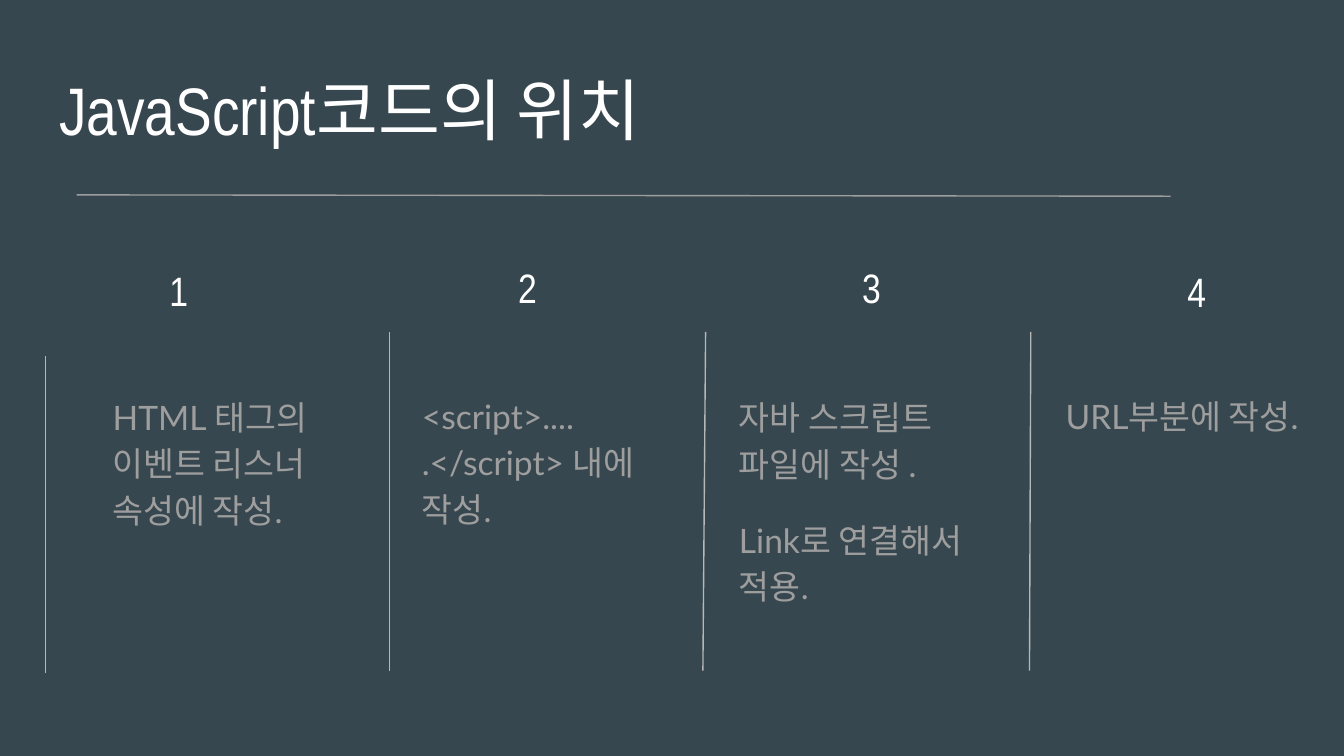
"""Build a slide on the four places where JavaScript code can be written."""
from lxml import etree
from pptx import Presentation
from pptx import util as u
from pptx.dml.color import RGBColor
from pptx.enum import shapes, text
from pptx.oxml.ns import qn

HUES = {"back": "37474F", "head": "FFFFFF", "body": "9E9E9E", "rule": "B7B7B7"}


def write(shape, box, paras, size, face, hue, align, anchor):
    shape.left, shape.top, shape.width, shape.height = map(u.Inches, box)
    frame = shape.text_frame
    frame.auto_size = text.MSO_AUTO_SIZE.NONE
    frame.word_wrap = True
    frame.vertical_anchor = anchor
    frame.margin_left = frame.margin_right = u.Inches(0.1)
    frame.margin_top = frame.margin_bottom = u.Inches(0.1)
    for i, line in enumerate(paras):
        para = frame.add_paragraph() if i else frame.paragraphs[0]
        para.alignment = align
        run = para.add_run()
        run.text = line
        run.font.size = u.Pt(size)
        run.font.name = face
        run.font.color.rgb = RGBColor.from_string(HUES[hue])
    return frame.paragraphs


def rule(x1, y1, x2, y2, hue):
    line = slide.shapes.add_connector(
        shapes.MSO_CONNECTOR.STRAIGHT, *map(u.Inches, (x1, y1, x2, y2)))
    line.line.color.rgb = RGBColor.from_string(HUES[hue])
    line.line.width = u.Pt(0.75)
    etree.SubElement(line._element.spPr, qn("a:effectLst"))


deck = Presentation()
deck.slide_width, deck.slide_height = u.Inches(10), u.Inches(10 * 9 / 16)
slide = deck.slides.add_slide(deck.slide_layouts[5])
slide.background.fill.solid()
slide.background.fill.fore_color.rgb = RGBColor.from_string(HUES["back"])

left, center = text.PP_ALIGN.LEFT, text.PP_ALIGN.CENTER
top, middle = text.MSO_ANCHOR.TOP, text.MSO_ANCHOR.MIDDLE

write(slide.shapes.title, (0.34, 0.49, 9.32, 0.63), ["JavaScript코드의 위치"],
      36, "Arial Narrow", "head", left, middle)
rule(0.57, 1.45, 8.71, 1.46, "body")

columns = [
    ("1", (0.34, 1.74, 1.98, 0.83), (0.34, 2.65, 0.34, 5.01),
     (0.74, 2.81, 1.9, 2.14), ["HTML 태그의 이벤트 리스너 속성에 작성."]),
    (" 2", (2.9, 1.72, 1.98, 0.83), (2.9, 2.47, 2.9, 4.99),
     (3.04, 2.8, 1.98, 2.07), ["<script>.... .</script> 내에 작성."]),
    (" 3", (5.46, 1.72, 1.98, 0.83), (5.25, 2.47, 5.23, 4.99),
     (5.4, 2.81, 1.98, 2.01), ["자바 스크립트 파일에 작성 .", "Link로 연결해서 적용."]),
    (" 4", (7.88, 1.79, 1.98, 0.75), (7.67, 2.47, 7.66, 4.99),
     (7.83, 2.8, 1.88, 2.07), ["URL부분에 작성."]),
]
for mark, spot, edge, box, lines in columns:
    rule(*edge, "rule")
    label = slide.shapes.add_textbox(0, 0, 0, 0)
    write(label, spot, [mark], 22, "Arial Narrow", "head", center, middle)
    note = slide.shapes.add_textbox(0, 0, 0, 0)
    paras = write(note, box, lines, 18, "Lato", "body", left, top)
    for para in paras:
        para.line_spacing = 1.15
    for para in paras[1:]:
        para.space_before = u.Pt(16)
    paras[-1].space_after = u.Pt(16)

deck.save("out.pptx")
